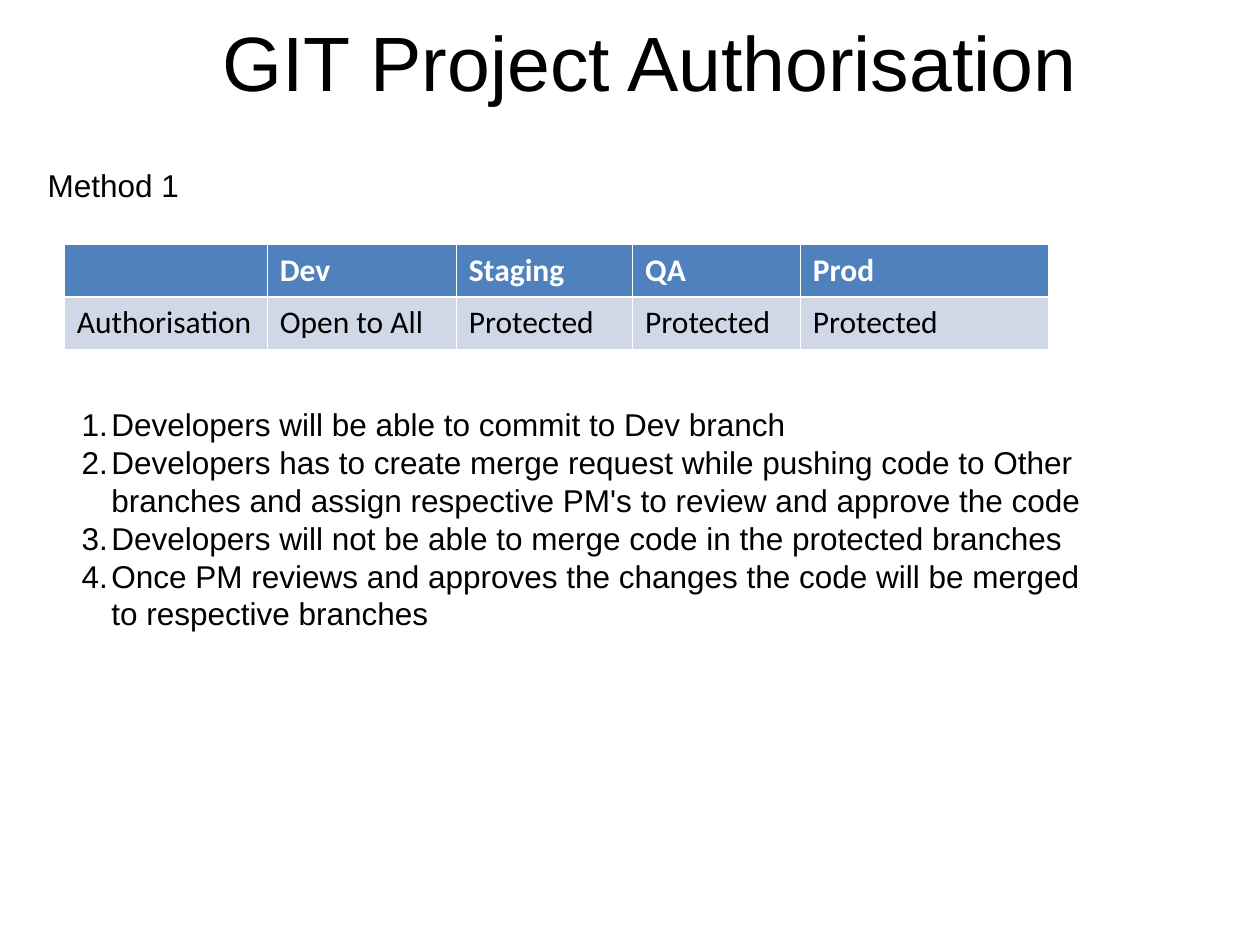
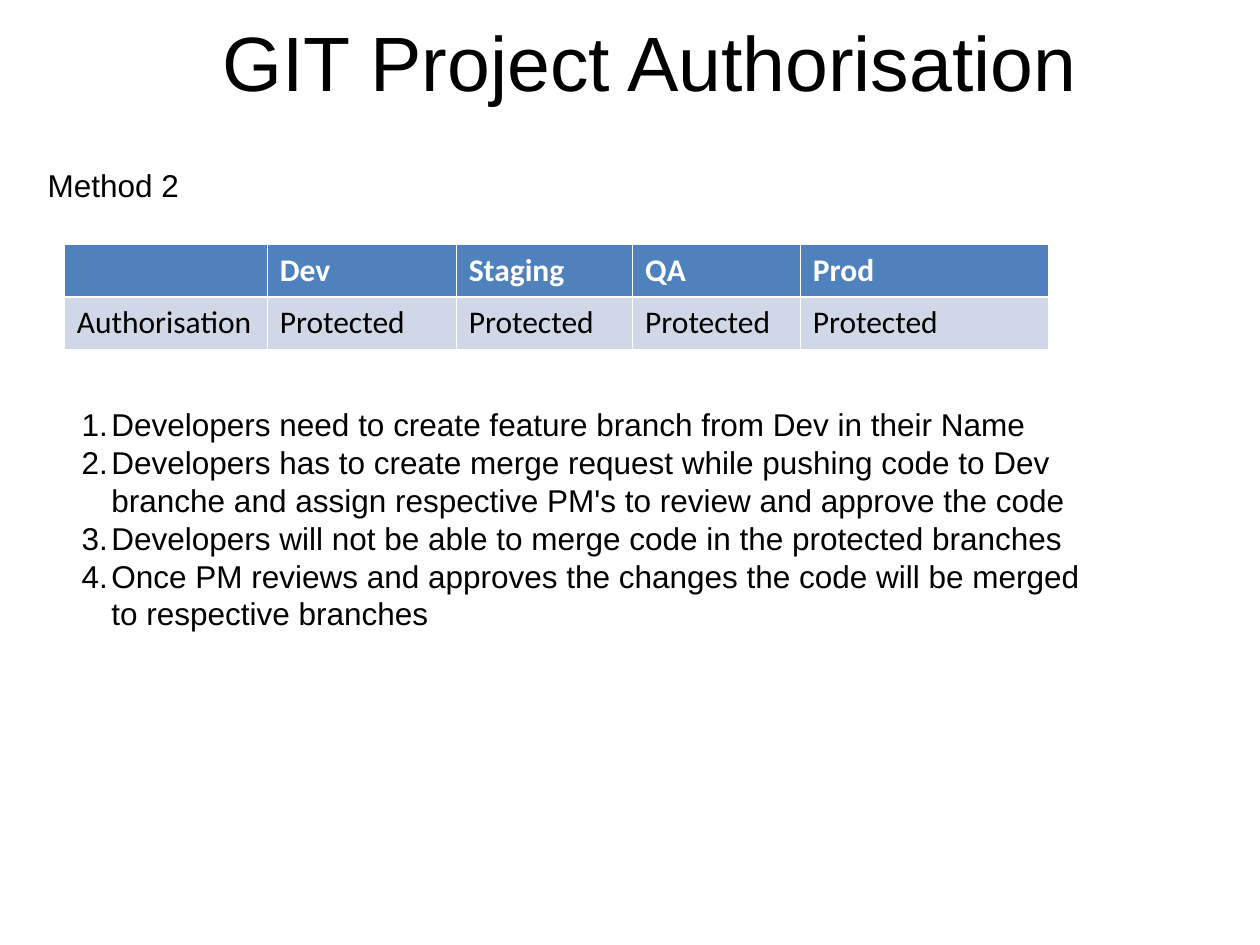
"""Build two slides that compare Git project authorisation methods."""
from dataclasses import dataclass
from typing import Any

import lxml.etree
import pptx
import pptx.dml.color
import pptx.enum.text
import pptx.oxml.ns
import pptx.util

Pt = pptx.util.Pt
RGBColor = pptx.dml.color.RGBColor
Anchor = pptx.enum.text.MSO_ANCHOR
Align = pptx.enum.text.PP_ALIGN
AutoSize = pptx.enum.text.MSO_AUTO_SIZE
qn = pptx.oxml.ns.qn

BLACK = RGBColor(0x00, 0x00, 0x00)
WHITE = RGBColor(0xFF, 0xFF, 0xFF)
HEADER_BLUE = RGBColor(0x4F, 0x81, 0xBD)
ROW_BLUE = RGBColor(0xD0, 0xD8, 0xE8)

TITLE_FONT = {"name": "Arial", "size": Pt(44)}
BODY_FONT = {"name": "Arial", "size": Pt(18)}
HEADER_FONT = {"name": "Calibri", "size": Pt(18), "bold": True}
CELL_FONT = {"name": "Calibri", "size": Pt(18), "bold": False}

MARGINS = {
    "margin_left": Pt(7.2),
    "margin_right": Pt(7.2),
    "margin_top": Pt(3.6),
    "margin_bottom": Pt(3.6),
}
TITLE_FRAME = {**MARGINS, "word_wrap": True, "vertical_anchor": Anchor.MIDDLE}
BODY_FRAME = {**MARGINS, "word_wrap": True, "auto_size": AutoSize.SHAPE_TO_FIT_TEXT}
CELL_FRAME = {**MARGINS, "vertical_anchor": Anchor.MIDDLE}

TITLE = "GIT Project Authorisation"
BRANCHES = ("", "Dev", "Staging", "QA", "Prod")
COLUMN_WIDTHS = (Pt(116), Pt(108), Pt(100.8), Pt(95.8), Pt(141.8))
ROW_HEIGHT = Pt(29.9)
NUMBER_INDENT = Pt(17)
THIN_RULE = Pt(0.45)
HEADER_RULE = Pt(1.47)


@dataclass(frozen=True)
class Box:
    """Position and size of one slide part."""

    left: int
    top: int
    width: int
    height: int


@dataclass(frozen=True)
class Method:
    """Content of one authorisation method."""

    label: str
    permissions: tuple[str, ...]
    rules: tuple[str, ...]


TITLE_BOX = Box(Pt(65.5), Pt(3.6), Pt(612), Pt(62.6))
LABEL_BOX = Box(Pt(20.2), Pt(91.4), Pt(345.6), Pt(28.8))
TABLE_BOX = Box(Pt(36.7), Pt(139.7), sum(COLUMN_WIDTHS), 2 * ROW_HEIGHT)
RULES_BOX = Box(Pt(39.6), Pt(228.2), Pt(602), Pt(136.8))

PROTECTED = "Protected"
SHARED_RULES = (
    "Developers will not be able to merge code in the protected branches",
    "Once PM reviews and approves the changes the code will be merged to respective branches",
)
METHODS = (
    Method(
        "Method 1",
        ("Open to All",) + (PROTECTED,) * 3,
        (
            "Developers will be able to commit to Dev branch",
            "Developers has to create merge request while pushing code to Other branches "
            "and assign respective PM's to review and approve the code",
            *SHARED_RULES,
        ),
    ),
    Method(
        "Method 2",
        (PROTECTED,) * 4,
        (
            "Developers need to create feature branch from Dev in their Name",
            "Developers has to create merge request while pushing code to Dev branche "
            "and assign respective PM's to review and approve the code",
            *SHARED_RULES,
        ),
    ),
)


def apply_format(target: Any, values: dict[str, Any]) -> None:
    """Set every attribute named in the format values."""
    for attribute, value in values.items():
        setattr(target, attribute, value)


def write_paragraph(paragraph: Any, text: str, font: dict[str, Any], color: RGBColor) -> None:
    """Write text in the given font and colour."""
    paragraph.text = text
    for target in (paragraph, *paragraph.runs):
        apply_format(target.font, font)
        target.font.color.rgb = color


def number_paragraph(paragraph: Any) -> None:
    """Give a paragraph a hanging black number."""
    properties = paragraph._p.get_or_add_pPr()
    properties.set("marL", str(NUMBER_INDENT))
    properties.set("indent", str(-NUMBER_INDENT))
    number_color = lxml.etree.SubElement(properties, qn("a:buClr"))
    lxml.etree.SubElement(number_color, qn("a:srgbClr"), val=str(BLACK))
    lxml.etree.SubElement(properties, qn("a:buAutoNum"), type="arabicPeriod")


def add_text(
    slide: Any,
    box: Box,
    lines: tuple[str, ...],
    frame_format: dict[str, Any],
    font: dict[str, Any],
    align: Any = Align.LEFT,
    numbered: bool = False,
) -> None:
    """Add a text box with one paragraph per line."""
    frame = slide.shapes.add_textbox(box.left, box.top, box.width, box.height).text_frame
    apply_format(frame, frame_format)
    for index, line in enumerate(lines):
        paragraph = frame.add_paragraph() if index else frame.paragraphs[0]
        if numbered:
            number_paragraph(paragraph)
        paragraph.alignment = align
        write_paragraph(paragraph, line, font, BLACK)


def add_borders(cell: Any, is_header: bool) -> None:
    """Draw white cell borders, thicker between header and body."""
    thick_side = "a:lnB" if is_header else "a:lnT"
    properties = cell._tc.get_or_add_tcPr()
    for side in ("a:lnL", "a:lnR", "a:lnT", "a:lnB"):
        width = HEADER_RULE if side == thick_side else THIN_RULE
        border = lxml.etree.SubElement(properties, qn(side), w=str(width))
        fill = lxml.etree.SubElement(border, qn("a:solidFill"))
        lxml.etree.SubElement(fill, qn("a:srgbClr"), val=str(WHITE))


def add_permissions(slide: Any, permissions: tuple[str, ...]) -> None:
    """Add the table of branch permissions."""
    rows = (BRANCHES, ("Authorisation", *permissions))
    box = TABLE_BOX
    table = slide.shapes.add_table(
        len(rows), len(BRANCHES), box.left, box.top, box.width, box.height
    ).table
    for column, width in zip(table.columns, COLUMN_WIDTHS):
        column.width = width
    for row_index, row in enumerate(rows):
        is_header = row_index == 0
        table.rows[row_index].height = ROW_HEIGHT
        for column_index, text in enumerate(row):
            cell = table.cell(row_index, column_index)
            add_borders(cell, is_header)
            cell.fill.solid()
            cell.fill.fore_color.rgb = HEADER_BLUE if is_header else ROW_BLUE
            apply_format(cell, CELL_FRAME)
            write_paragraph(
                cell.text_frame.paragraphs[0],
                text,
                HEADER_FONT if is_header else CELL_FONT,
                WHITE if is_header else BLACK,
            )


def add_method(presentation: Any, method: Method) -> None:
    """Add the slide of one method."""
    slide = presentation.slides.add_slide(presentation.slide_layouts[6])
    add_text(slide, TITLE_BOX, (TITLE,), TITLE_FRAME, TITLE_FONT, align=Align.CENTER)
    add_text(slide, LABEL_BOX, (method.label,), BODY_FRAME, BODY_FONT)
    add_permissions(slide, method.permissions)
    add_text(slide, RULES_BOX, method.rules, BODY_FRAME, BODY_FONT, numbered=True)


def main() -> None:
    """Build and save the presentation."""
    presentation = pptx.Presentation()
    apply_format(presentation, {"slide_width": Pt(720), "slide_height": Pt(540)})
    for method in METHODS:
        add_method(presentation, method)
    presentation.save("out.pptx")


if __name__ == "__main__":
    main()
